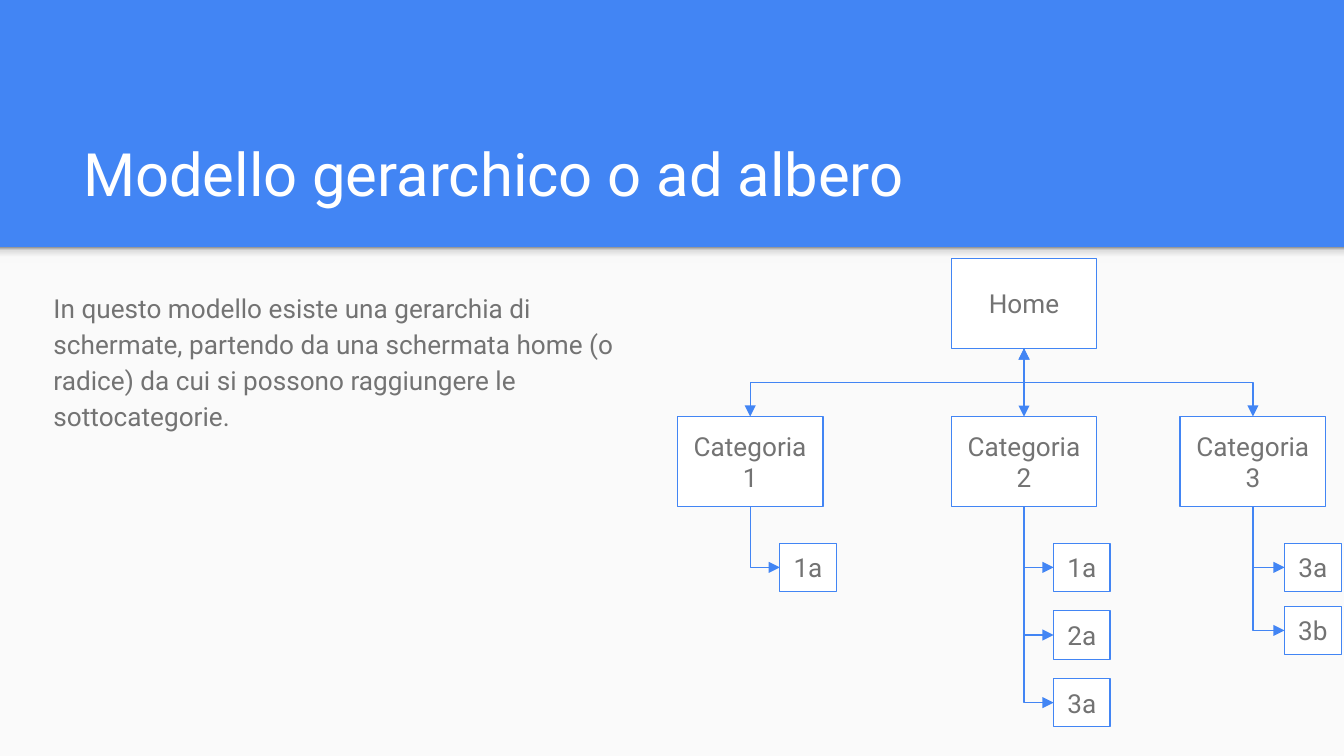
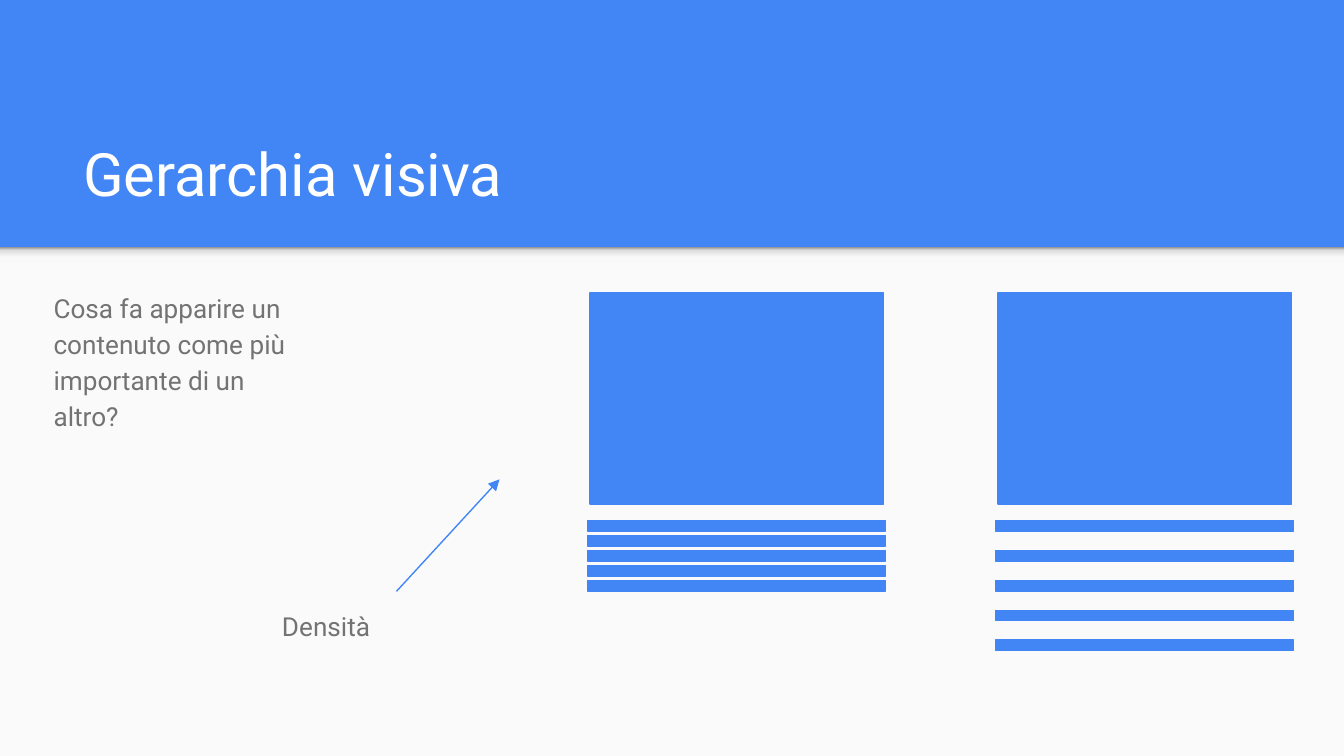
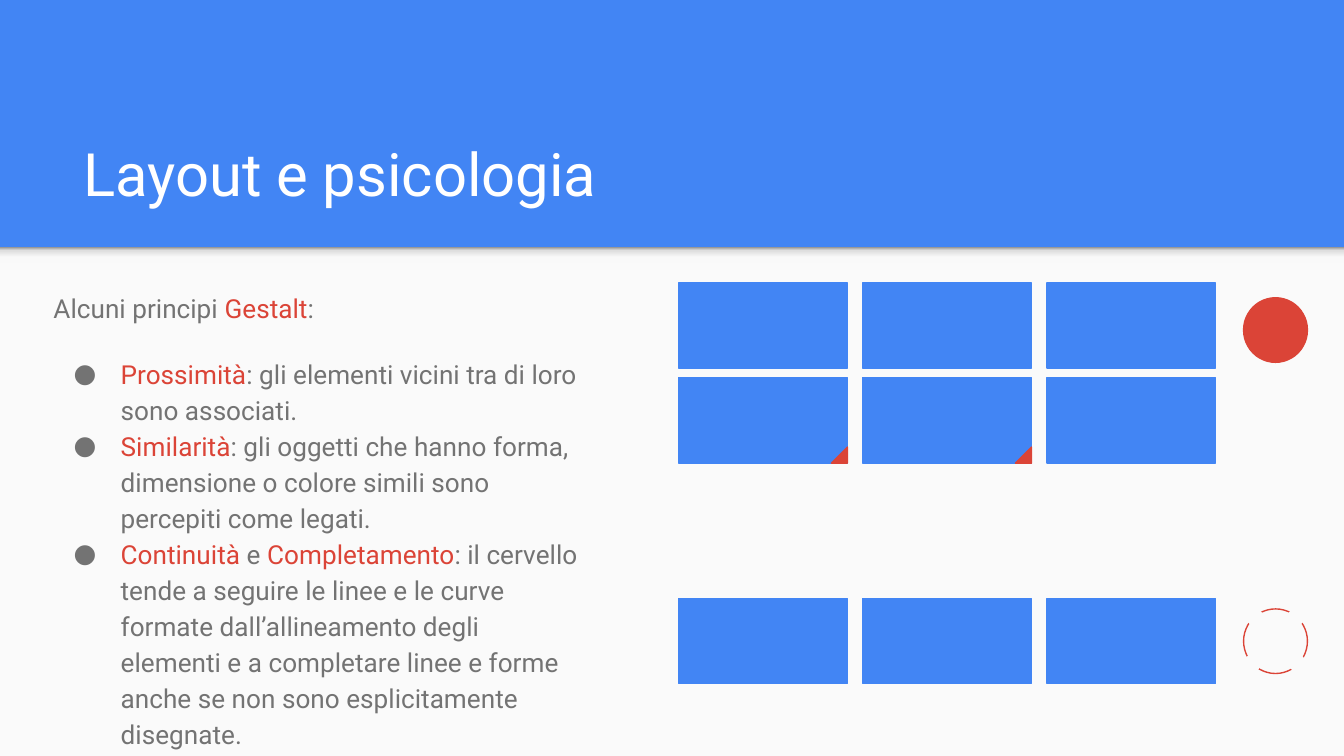
"""Build three slides on hierarchy, visual density and Gestalt layout."""
from lxml.etree import SubElement
from pptx import Presentation
from pptx.dml.color import RGBColor
from pptx.enum.shapes import MSO_CONNECTOR, MSO_SHAPE
from pptx.enum.text import MSO_ANCHOR, PP_ALIGN
from pptx.oxml.ns import qn
from pptx.util import Pt

BLUE = RGBColor(0x42, 0x85, 0xF4)
RED = RGBColor(0xDB, 0x44, 0x37)
GRAY = RGBColor(0x73, 0x73, 0x73)
WHITE = RGBColor(0xFF, 0xFF, 0xFF)
PAPER = RGBColor(0xFA, 0xFA, 0xFA)
SHADOW_STOPS = [(0, "F9F9F9"), (36, "F9F9F9"), (80, "DEDEDE"), (100, "999999")]
FONT = "Roboto"
INSET = 7.2


def add_box(slide, kind, left, top, width, height, fill=BLUE, line=BLUE):
    shape = slide.shapes.add_shape(kind, Pt(left), Pt(top), Pt(width), Pt(height))
    shape.shadow.inherit = False
    if fill is None:
        shape.fill.background()
    else:
        shape.fill.solid()
        shape.fill.fore_color.rgb = fill
    if line is None:
        shape.line.fill.background()
    else:
        shape.line.color.rgb = line
        shape.line.width = Pt(0.75)
    return shape


def add_line(slide, start, end, ends=(), bend=None, color=BLUE, width=0.75):
    (x1, y1), (x2, y2) = start, end
    kind = MSO_CONNECTOR.STRAIGHT
    if bend:
        kind = MSO_CONNECTOR.ELBOW
        run, drop = abs(x2 - x1), y2 - y1
        left, top = (x1 + x2 - drop) / 2, (y1 + y2 - run) / 2
        x1, y1, x2, y2 = left, top, left + drop, top + run
    connector = slide.shapes.add_connector(kind, Pt(x1), Pt(y1), Pt(x2), Pt(y2))
    properties = connector._element.spPr
    if bend:
        transform = properties.find(qn("a:xfrm"))
        if end[0] > start[0]:
            transform.set("rot", "16200000")
            transform.set("flipH", "1")
        else:
            transform.set("rot", "5400000")
        properties.find(qn("a:prstGeom")).set("prst", bend)
    connector.line.color.rgb = color
    connector.line.width = Pt(width)
    for name in ends:
        SubElement(connector.line._get_or_add_ln(), qn(f"a:{name}")).set("type", "triangle")
    SubElement(properties, qn("a:effectLst"))


presentation = Presentation()
presentation.slide_width = Pt(720)
presentation.slide_height = Pt(405)

pages = [
    ("Modello gerarchico o ad albero", 338.4, 222.5, [
        [("In questo modello esiste una gerarchia di schermate, partendo da una schermata "
          "home (o radice) da cui si possono raggiungere le sottocategorie.", GRAY)],
    ]),
    ("Gerarchia visiva", 140.4, 107.3, [
        [("Cosa fa apparire un contenuto come più importante di un altro?", GRAY)],
    ]),
    ("Layout e psicologia", 299.5, 250.6, [
        [("Alcuni principi ", GRAY), ("Gestalt", RED), (":", GRAY)],
        [("Prossimità", RED), (": gli elementi vicini tra di loro sono associati.", GRAY)],
        [("Similarità", RED), (": gli oggetti che hanno forma, dimensione o colore simili "
                               "sono percepiti come legati.", GRAY)],
        [("Continuità ", RED), ("e ", GRAY), ("Completamento", RED),
         (": il cervello tende a seguire le linee e le curve formate dall’allineamento degli "
          "elementi e a completare linee e forme anche se non sono esplicitamente disegnate.",
          GRAY)],
    ]),
]

slides = []
text_boxes = []
for title, body_width, body_height, body in pages:
    slide = presentation.slides.add_slide(presentation.slide_layouts[6])
    slide.background.fill.solid()
    slide.background.fill.fore_color.rgb = BLUE
    add_box(slide, MSO_SHAPE.RECTANGLE, 0, 132.5, 720, 272.5, PAPER, None)
    shadow = add_box(slide, MSO_SHAPE.RECTANGLE, 0, 132.5, 720, 8.6, PAPER, None)
    shadow.fill.gradient()
    shadow.fill.gradient_angle = 90
    stops = shadow._element.spPr.find(f".//{qn('a:gsLst')}")
    stops.clear()
    for position, color in SHADOW_STOPS:
        stop = SubElement(stops, qn("a:gs"), pos=str(position * 1000))
        SubElement(stop, qn("a:srgbClr"), val=color)
    slides.append(slide)
    text_boxes.append((slide, 37.4, 58.3, 647.3, 60.5, MSO_ANCHOR.BOTTOM, 32, 1,
                       [[(title, WHITE)]]))
    text_boxes.append((slide, 21.6, 146.9, body_width, body_height, MSO_ANCHOR.TOP, 14, 1.15,
                       body))
tree_slide, density_slide, gestalt_slide = slides
text_boxes.append((density_slide, 144, 319.7, 105.1, 31.7, MSO_ANCHOR.TOP, 14, 1,
                   [[("Densità", GRAY)]]))

for slide, left, top, width, height, anchor, size, spacing, paragraphs in text_boxes:
    text_box = slide.shapes.add_textbox(Pt(left), Pt(top), Pt(width), Pt(height))
    frame = text_box.text_frame
    frame.word_wrap = True
    frame.vertical_anchor = anchor
    frame.margin_left = frame.margin_right = Pt(INSET)
    frame.margin_top = frame.margin_bottom = Pt(INSET)
    for index, runs in enumerate(paragraphs):
        paragraph = frame.add_paragraph() if index else frame.paragraphs[0]
        if index:
            properties = paragraph._p.get_or_add_pPr()
            properties.set("marL", str(Pt(36)))
            properties.set("indent", str(Pt(-25.2)))
            bullet_color = SubElement(properties, qn("a:buClr"))
            SubElement(bullet_color, qn("a:srgbClr"), val=str(GRAY))
            SubElement(properties, qn("a:buFont"), typeface=FONT)
            SubElement(properties, qn("a:buChar"), char="●")
        if index == 1:
            paragraph.space_before = Pt(16)
        paragraph.line_spacing = spacing
        for text, color in runs:
            run = paragraph.add_run()
            run.text = text
            run.font.name = FONT
            run.font.size = Pt(size)
            run.font.color.rgb = color

NODE_WIDTH, NODE_HEIGHT = 78, 48.2
LEAF_WIDTH, LEAF_HEIGHT = 30.4, 26
HOME_CENTER, HOME_TOP, CATEGORY_TOP, LEAF_TOP = 548.6, 138.5, 223.2, 291
HOME_BOTTOM = HOME_TOP + NODE_HEIGHT
categories = [
    ("1", 401.9, 15.8, 36.2, ["1a"]),
    ("2", HOME_CENTER, 15.8, 36.2, ["1a", "2a", "3a"]),
    ("3", 671.2, 17, 33.8, ["3a", "3b"]),
]
nodes = [(["Home"], HOME_CENTER - NODE_WIDTH / 2, HOME_TOP, NODE_WIDTH, NODE_HEIGHT)]
for number, center, leaf_offset, leaf_step, leaves in categories:
    nodes.append((["Categoria", number], center - NODE_WIDTH / 2, CATEGORY_TOP,
                  NODE_WIDTH, NODE_HEIGHT))
    start, end = (HOME_CENTER, HOME_BOTTOM), (center, CATEGORY_TOP)
    if center == HOME_CENTER:
        add_line(tree_slide, start, end, ["tailEnd"])
    else:
        add_line(tree_slide, start, end, ["headEnd", "tailEnd"], "bentConnector3")
    stem = CATEGORY_TOP + NODE_HEIGHT
    for index, leaf in enumerate(leaves):
        leaf_left, leaf_top = center + leaf_offset, LEAF_TOP + index * leaf_step
        leaf_middle = leaf_top + LEAF_HEIGHT / 2
        nodes.append(([leaf], leaf_left, leaf_top, LEAF_WIDTH, LEAF_HEIGHT))
        add_line(tree_slide, (center, stem), (leaf_left, leaf_middle), ["tailEnd"],
                 "bentConnector2")
        stem = leaf_middle

for lines, left, top, width, height in nodes:
    node = add_box(tree_slide, MSO_SHAPE.RECTANGLE, left, top, width, height, WHITE)
    frame = node.text_frame
    frame.word_wrap = True
    frame.vertical_anchor = MSO_ANCHOR.MIDDLE
    frame.margin_left = frame.margin_right = Pt(INSET)
    frame.margin_top = frame.margin_bottom = Pt(INSET)
    for index, text in enumerate(lines):
        paragraph = frame.add_paragraph() if index else frame.paragraphs[0]
        paragraph.alignment = PP_ALIGN.CENTER
        run = paragraph.add_run()
        run.text = text
        run.font.name = FONT
        run.font.size = Pt(14)
        run.font.color.rgb = GRAY

add_line(density_slide, (212.4, 316.8), (267.6, 256.8), ["tailEnd"])
for card_left, bar_step in [(316, 8), (534.7, 16)]:
    add_box(density_slide, MSO_SHAPE.RECTANGLE, card_left, 156.9, 157.2, 113.2)
    for index in range(5):
        add_box(density_slide, MSO_SHAPE.RECTANGLE, card_left - 1.3, 279 + index * bar_step,
                159.6, 5.6)

TILE_LEFT, TILE_STEP, TILE_WIDTH, TILE_HEIGHT = 363.6, 98.6, 90.4, 45.7
for tile_top in (151.6, 202.4, 320.6):
    for column in range(3):
        add_box(gestalt_slide, MSO_SHAPE.RECTANGLE, TILE_LEFT + column * TILE_STEP, tile_top,
                TILE_WIDTH, TILE_HEIGHT)
for column in range(2):
    corner_left = TILE_LEFT + column * TILE_STEP + TILE_WIDTH - 8.6
    corner = add_box(gestalt_slide, MSO_SHAPE.RIGHT_TRIANGLE, corner_left, 239.5, 8.6, 8.6,
                     RED, RED)
    corner.rotation = 270
for circle_top, circle_fill in [(159.5, RED), (326.2, None)]:
    add_box(gestalt_slide, MSO_SHAPE.OVAL, 666.2, circle_top, 34.2, 34.6, circle_fill, RED)
for start, end in [((666, 324), (702.7, 363.6)), ((663.1, 363.6), (701.3, 323.3))]:
    add_line(gestalt_slide, start, end, color=PAPER, width=9)

presentation.save("out.pptx")
